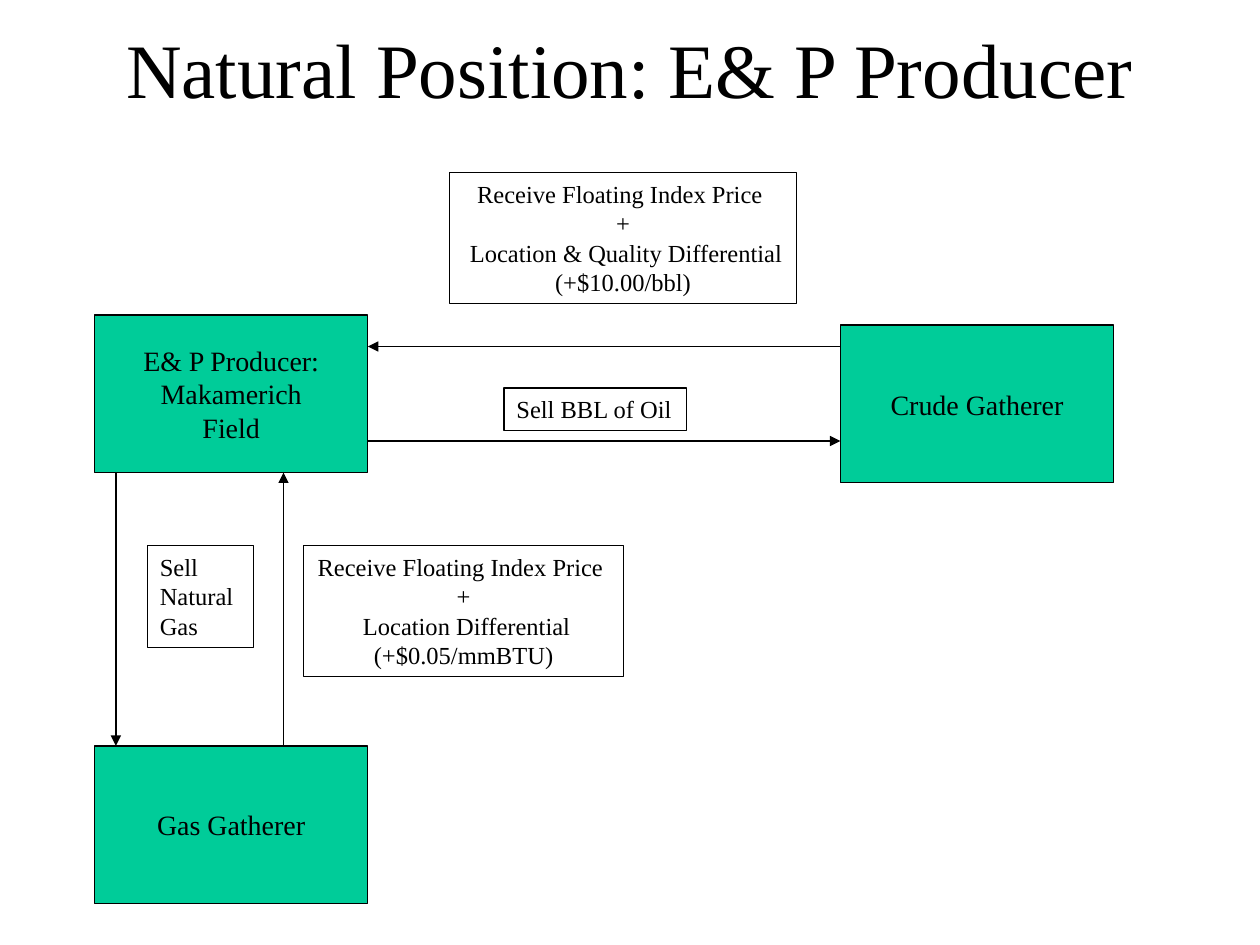
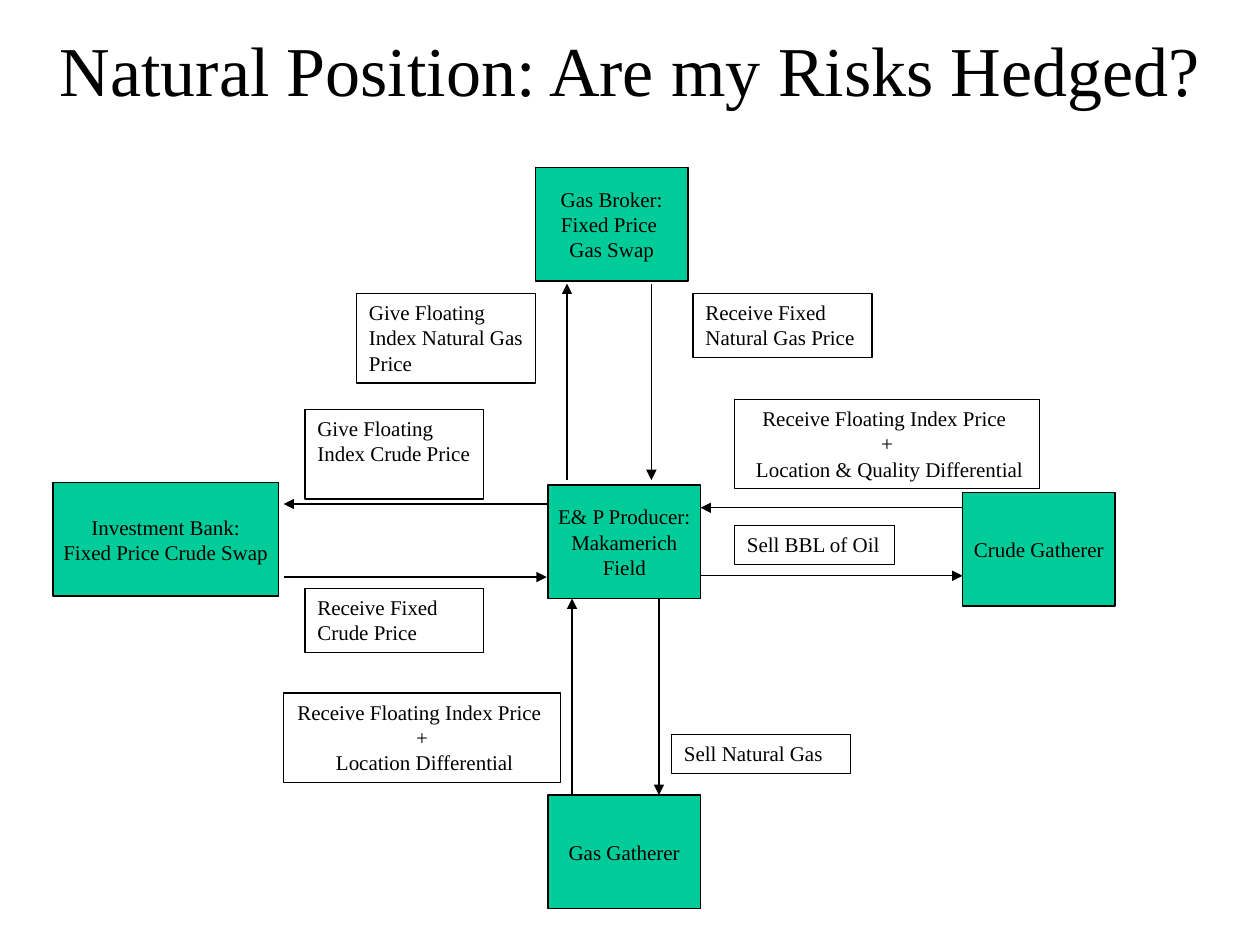
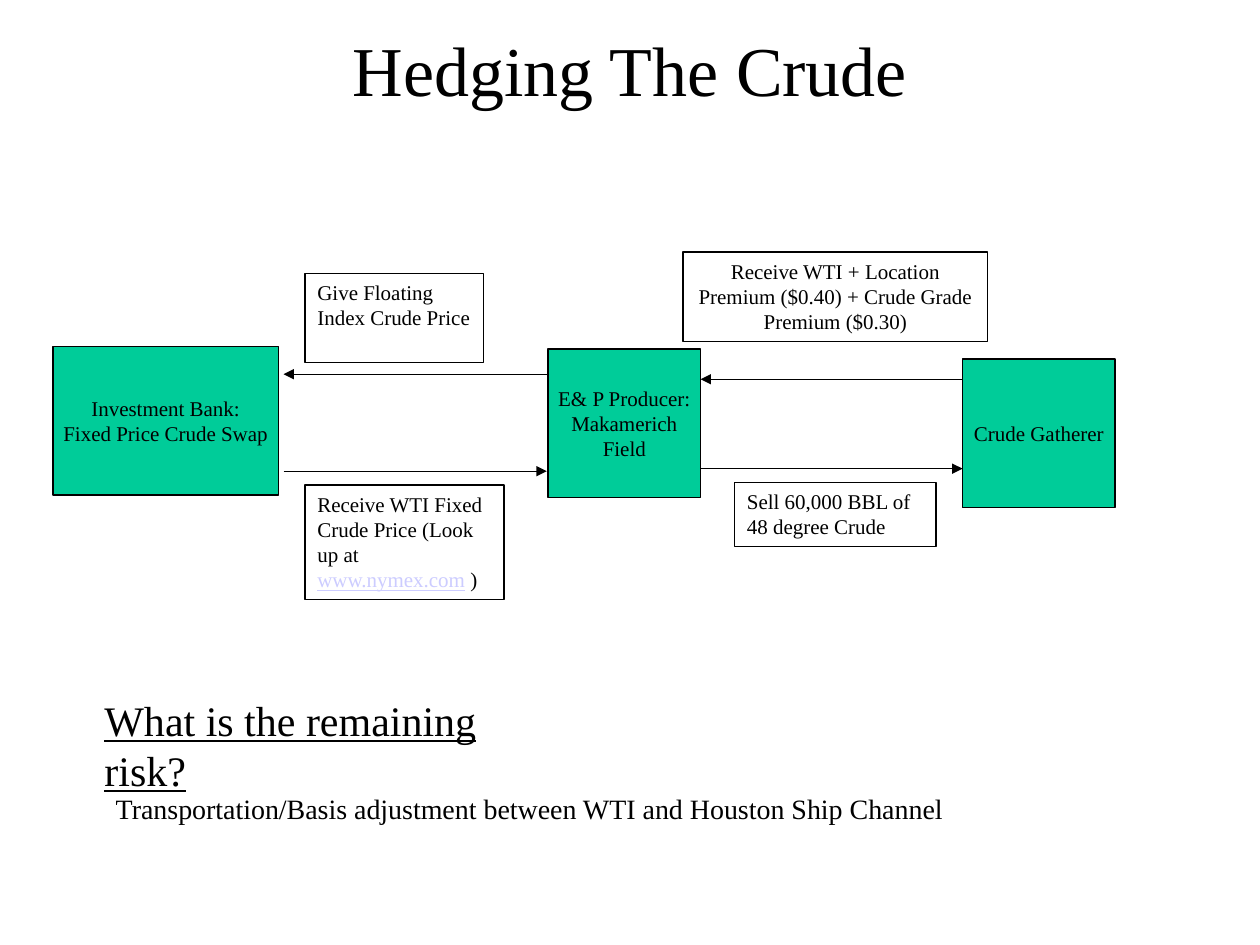
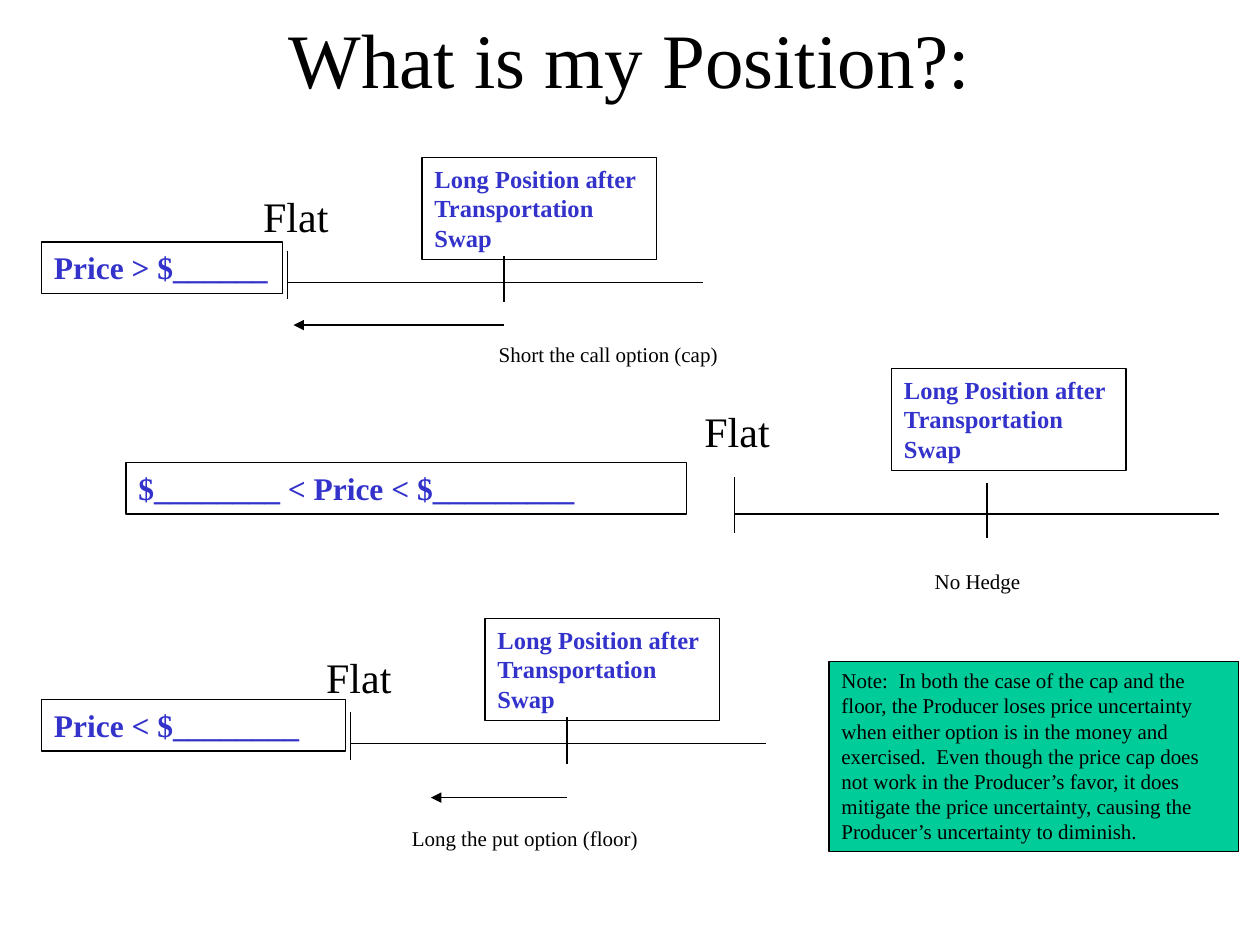
from dataclasses import dataclass

import pptx
import pptx.dml.color
import pptx.enum.shapes
import pptx.enum.text
import pptx.oxml.ns
import pptx.util
from lxml import etree

Inches = pptx.util.Inches


@dataclass(frozen=True)
class Theme:
    font: str = "Times New Roman"
    ink: str = "000000"
    node: str = "00CC99"
    accent: str = "3333CC"
    link: str = "CCCCFF"
    line_width: float = 0.75
    title_large: int = 44
    title: int = 40
    heading: int = 24
    price: int = 18
    body: int = 16
    label: int = 14
    small: int = 12


THEME = Theme()

# ---- Content ----
PRODUCER = ["E& P Producer:", "Makamerich", "Field"]
BANK = ["Investment Bank:", "Fixed Price Crude Swap"]
FLOATING = ["Receive Floating Index Price ", "+"]
CRUDE_INDEX = FLOATING + [" Location & Quality Differential"]
GAS_INDEX = FLOATING + [" Location Differential"]
GIVE_CRUDE = ["Give Floating Index Crude Price"]

# Columns shared by the two hedging slides: left, width
BANK_COLUMN = (0.42, 1.79)
PRODUCER_COLUMN = (4.35, 1.21)
CRUDE_COLUMN = (7.64, 1.21)

# nodes: left, top, width, height, lines
# flows: source, target, lane across the flow, gap at source, gap at target
# labels: left, top, width, height, lines, alignment, wrap
FLOW_SLIDES = [
    {
        "title": ("Natural Position: E& P Producer", 0.75, THEME.title_large),
        "node_size": THEME.body,
        "label_size": THEME.label,
        "nodes": {
            "producer": (0.75, 2.5, 2.17, 1.25, PRODUCER),
            "crude": (6.67, 2.58, 2.17, 1.25, ["Crude Gatherer"]),
            "gas": (0.75, 5.92, 2.17, 1.25, ["Gas Gatherer"]),
        },
        "flows": [
            ("producer", "crude", 3.5),
            ("crude", "producer", 2.75),
            ("gas", "producer", 2.25),
            ("producer", "gas", 0.92),
        ],
        "labels": [
            (4, 3.08, 1.45, 0.34, ["Sell BBL of Oil"], "left", False),
            (3.57, 1.37, 2.75, 1.04, CRUDE_INDEX + ["(+$10.00/bbl)"], "center", False),
            (1.17, 4.33, 0.84, 0.81, ["Sell", "Natural", "Gas"], "left", False),
            (2.41, 4.33, 2.54, 1.04, GAS_INDEX + ["(+$0.05/mmBTU)"], "center", False),
        ],
    },
    {
        "title": ("Natural Position: Are my Risks Hedged?", 0, THEME.title),
        "node_size": THEME.small,
        "label_size": THEME.small,
        "nodes": {
            "bank": (BANK_COLUMN[0], 3.83, BANK_COLUMN[1], 0.9, BANK),
            "producer": (PRODUCER_COLUMN[0], 3.85, PRODUCER_COLUMN[1], 0.9, PRODUCER),
            "crude": (CRUDE_COLUMN[0], 3.91, CRUDE_COLUMN[1], 0.9, ["Crude Gatherer"]),
            "gas": (PRODUCER_COLUMN[0], 6.31, PRODUCER_COLUMN[1], 0.9, ["Gas Gatherer"]),
            "broker": (4.25, 1.33, 1.21, 0.9, ["Gas Broker:", "Fixed Price ", "Gas Swap"]),
        },
        "flows": [
            ("producer", "crude", 4.57),
            ("crude", "producer", 4.03),
            ("gas", "producer", 4.54),
            ("producer", "gas", 5.23),
            ("producer", "broker", 4.5, 0.04, 0.02),
            ("broker", "producer", 5.17, 0.02, 0.04),
            ("bank", "producer", 4.58, 0.04, 0.01),
            ("producer", "bank", 4, 0.01, 0.04),
        ],
        "labels": [
            (5.83, 4.17, 1.27, 0.31, ["Sell BBL of Oil"], "left", False),
            (5.83, 3.17, 2.42, 0.71, CRUDE_INDEX, "center", True),
            (5.33, 5.83, 1.42, 0.31, ["Sell Natural Gas"], "left", True),
            (2.25, 5.5, 2.2, 0.71, GAS_INDEX, "center", False),
            (5.5, 2.33, 1.42, 0.51, ["Receive Fixed Natural Gas Price"], "left", True),
            (2.83, 2.33, 1.42, 0.71, ["Give Floating Index Natural Gas Price"], "left", True),
            (2.42, 3.25, 1.42, 0.71, GIVE_CRUDE, "left", True),
            (2.42, 4.67, 1.42, 0.51, ["Receive Fixed Crude Price"], "left", True),
        ],
    },
    {
        "title": ("Hedging The Crude", 0, THEME.title),
        "node_size": THEME.small,
        "label_size": THEME.small,
        "nodes": {
            "bank": (BANK_COLUMN[0], 2.75, BANK_COLUMN[1], 1.18, BANK),
            "producer": (PRODUCER_COLUMN[0], 2.77, PRODUCER_COLUMN[1], 1.18, PRODUCER),
            "crude": (CRUDE_COLUMN[0], 2.85, CRUDE_COLUMN[1], 1.18, ["Crude Gatherer"]),
        },
        "flows": [
            ("producer", "crude", 3.72),
            ("crude", "producer", 3.01),
            ("bank", "producer", 3.74, 0.04, 0.01),
            ("producer", "bank", 2.97, 0.01, 0.04),
        ],
        "labels": [
            (5.83, 3.83, 1.6, 0.51, ["Sell 60,000 BBL of", "48 degree Crude"], "left", False),
            (5.42, 2, 2.42, 0.71,
             ["Receive WTI + Location Premium ($0.40) + Crude Grade Premium ($0.30)"],
             "center", True),
            (2.42, 2.17, 1.42, 0.71, GIVE_CRUDE, "left", True),
            (2.42, 3.85, 1.58, 0.91,
             [("Receive WTI Fixed Crude Price (Look up at ", "www.nymex.com", " )")],
             "left", True),
        ],
    },
]

REMAINING_RISK = "What is the remaining risk?"
RISK_ANSWER = "Transportation/Basis adjustment between WTI and Houston Ship Channel"

POSITION_TITLE = ("What is my Position?:", 0.75, THEME.title_large)
LONG_POSITION = ["Long Position after", "Transportation", "Swap"]
# Each case: flat point (x, axis y), scale, price box, hedge note, arrow (y, end x)
POSITION_CASES = [
    {"flat": (2.28, 2.24), "scale": 1,
     "price": (0.33, 1.92, 1.91, "Price > $______"),
     "hedge": (3.86, 2.66, 1.95, "Short the call option (cap)"), "arrow": (2.58, 2.33)},
    {"flat": (5.83, 4.08), "scale": 1.165,
     "price": (1, 3.67, 4.45, "$________ < Price < $_________"),
     "hedge": (7.32, 4.46, 0.88, "No Hedge"), "arrow": None},
    {"flat": (2.78, 5.9), "scale": 1,
     "price": (0.33, 5.55, 2.41, "Price < $________"),
     "hedge": (3.17, 6.5, 2, "Long the put option (floor)"), "arrow": (6.33, 3.42)},
]
POSITION_NOTE = (
    "Note:  In both the case of the cap and the floor, the Producer loses price "
    "uncertainty when either option is in the money and exercised.  Even though the "
    "price cap does not work in the Producer’s favor, it does mitigate the price "
    "uncertainty, causing the Producer’s uncertainty to diminish."
)

ALIGN = {"left": pptx.enum.text.PP_ALIGN.LEFT, "center": pptx.enum.text.PP_ALIGN.CENTER}


# ---- Drawing helpers ----
def rgb(value):
    return pptx.dml.color.RGBColor.from_string(value)


def write(shape, lines, size, align="left", middle=False, wrap=False,
          color=THEME.ink, bold=False, underline=False):
    """Fill a shape with lines; a tuple line is (before, web address, after)."""
    frame = shape.text_frame
    frame.word_wrap = wrap
    anchor = pptx.enum.text.MSO_ANCHOR
    frame.vertical_anchor = anchor.MIDDLE if middle else anchor.TOP
    for index, line in enumerate(lines):
        paragraph = frame.paragraphs[0] if index == 0 else frame.add_paragraph()
        paragraph.alignment = ALIGN[align]
        for part in line if isinstance(line, tuple) else (line,):
            paragraph.add_run().text = part
        for run in paragraph.runs:
            run.font.name = THEME.font
            run.font.size = pptx.util.Pt(size)
            run.font.bold = bold
            run.font.underline = underline
            run.font.color.rgb = rgb(color)
        if isinstance(line, tuple):
            address = paragraph.runs[1].font
            address.color.rgb = rgb(THEME.link)
            address.underline = True


def add_text(slide, bounds, lines, size, **style):
    write(slide.shapes.add_textbox(*map(Inches, bounds)), lines, size, **style)


def add_box(slide, bounds, lines, size, fill=None, **style):
    box = slide.shapes.add_shape(
        pptx.enum.shapes.MSO_SHAPE.RECTANGLE, *map(Inches, bounds))
    box.shadow.inherit = False
    if fill:
        box.fill.solid()
        box.fill.fore_color.rgb = rgb(fill)
    else:
        box.fill.background()
    box.line.color.rgb = rgb(THEME.ink)
    box.line.width = pptx.util.Pt(THEME.line_width)
    write(box, lines, size, **style)


def add_line(slide, start, end, arrow=False):
    line = slide.shapes.add_connector(
        pptx.enum.shapes.MSO_CONNECTOR.STRAIGHT, *map(Inches, (*start, *end)))
    line.line.color.rgb = rgb(THEME.ink)
    line.line.width = pptx.util.Pt(THEME.line_width)
    qn = pptx.oxml.ns.qn
    if arrow:
        etree.SubElement(line.line._get_or_add_ln(), qn("a:tailEnd"), type="triangle")
    etree.SubElement(line._element.spPr, qn("a:effectLst"))


def add_slide(deck, title, title_height=1.08):
    slide = deck.slides.add_slide(deck.slide_layouts[6])
    text, left, size = title
    add_text(slide, (left, 0, 10 - 2 * left, title_height), [text], size,
             align="center", middle=True, wrap=True)
    return slide


def flow_ends(source, target, lane, source_gap=0, target_gap=0):
    """Run along the lane between the facing sides of two nodes."""
    side_by_side = source[0] + source[2] < target[0] or target[0] + target[2] < source[0]
    axis = 0 if side_by_side else 1
    if source[axis] < target[axis]:
        start = source[axis] + source[axis + 2] + source_gap
        end = target[axis] - target_gap
    else:
        start = source[axis] - source_gap
        end = target[axis] + target[axis + 2] + target_gap
    return ((start, lane), (end, lane)) if side_by_side else ((lane, start), (lane, end))


# ---- Slides ----
def add_flow_slide(deck, content):
    slide = add_slide(deck, content["title"])
    nodes = content["nodes"]
    for *bounds, lines in nodes.values():
        add_box(slide, bounds, lines, content["node_size"], fill=THEME.node,
                align="center", middle=True)
    for source, target, *route in content["flows"]:
        add_line(slide, *flow_ends(nodes[source], nodes[target], *route), arrow=True)
    for *bounds, lines, align, wrap in content["labels"]:
        add_box(slide, bounds, lines, content["label_size"], align=align, wrap=wrap)
    return slide


def add_position_case(slide, case):
    flat_x, axis_y = case["flat"]

    def place(dx, dy):
        return flat_x + dx * case["scale"], axis_y + dy * case["scale"]

    # Axis with ticks at the flat and the long position
    add_line(slide, place(0, 0), place(3.3, 0))
    add_line(slide, place(0, -0.25), place(0, 0.13))
    add_line(slide, place(1.72, -0.21), place(1.72, 0.16))
    add_text(slide, (*place(-0.29, -0.78), 0.72, 0.5), ["Flat"], THEME.heading)
    add_box(slide, (*place(1.07, -0.99), 1.86, 0.81), LONG_POSITION, THEME.label,
            color=THEME.accent, bold=True)

    # Price range and hedge
    *price_bounds, price = case["price"]
    add_box(slide, (*price_bounds, 0.41), [price], THEME.price, wrap=True,
            color=THEME.accent, bold=True)
    *hedge_bounds, hedge = case["hedge"]
    add_text(slide, (*hedge_bounds, 0.3), [hedge], THEME.small)
    if case["arrow"]:
        arrow_y, arrow_end = case["arrow"]
        add_line(slide, (place(1.72, 0)[0], arrow_y), (arrow_end, arrow_y), arrow=True)


def main():
    deck = pptx.Presentation()
    deck.slide_width, deck.slide_height = Inches(10), Inches(7.5)

    for content in FLOW_SLIDES:
        slide = add_flow_slide(deck, content)
    # The last flow slide closes with the open question
    add_text(slide, (0.73, 5.46, 3.85, 0.5), [REMAINING_RISK], THEME.heading,
             wrap=True, underline=True)
    add_text(slide, (0.82, 6.23, 6.81, 0.37), [RISK_ANSWER], THEME.body)

    positions = add_slide(deck, POSITION_TITLE, title_height=0.92)
    for case in POSITION_CASES:
        add_position_case(positions, case)
    add_box(positions, (6.58, 5.25, 3.25, 1.51), [POSITION_NOTE], THEME.small,
            fill=THEME.node, wrap=True)

    deck.save("out.pptx")


if __name__ == "__main__":
    main()
